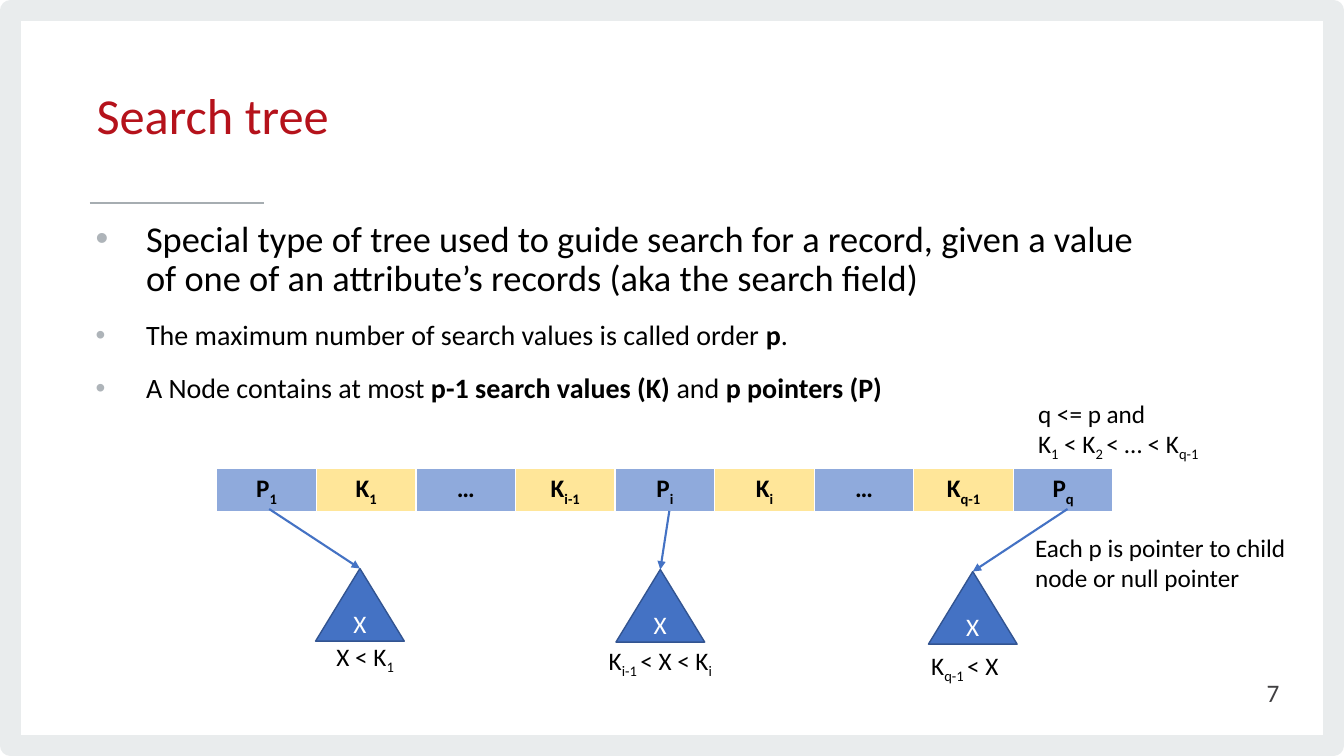
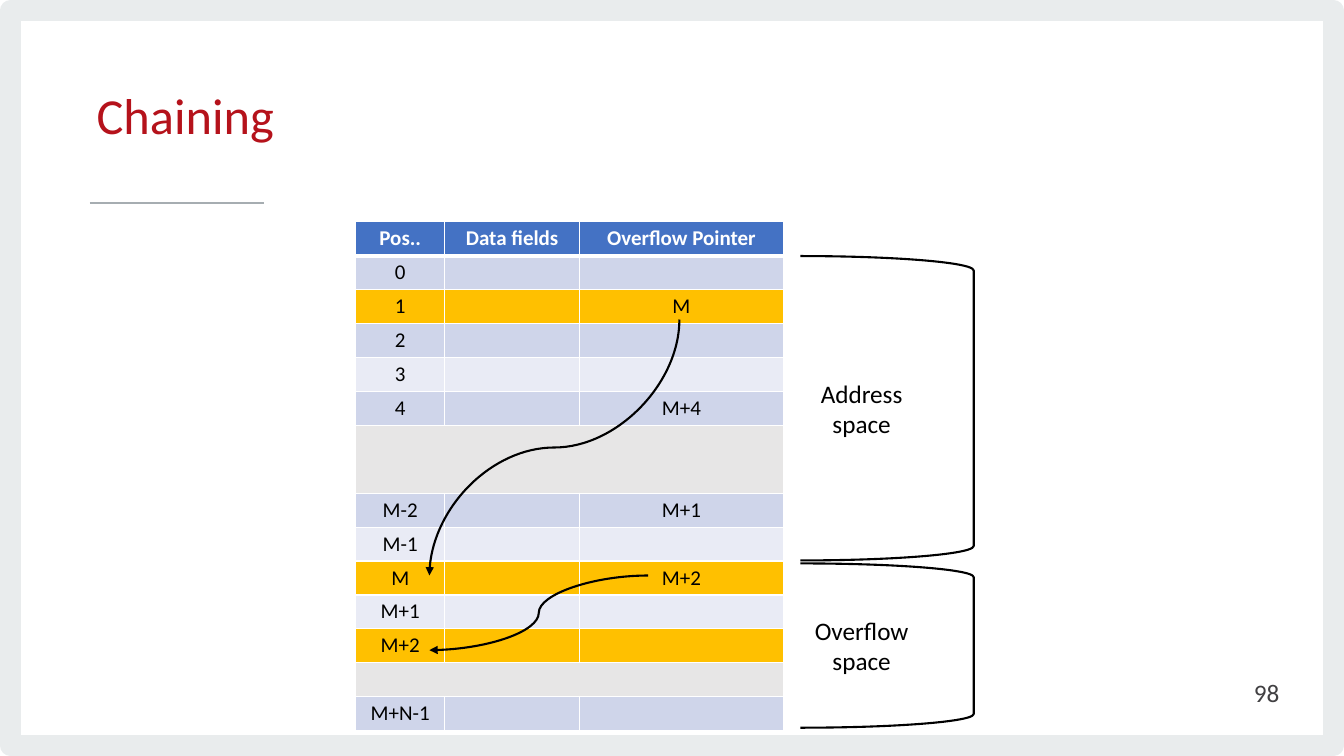
"""Build two lecture slides: a search tree node and overflow chaining."""
from dataclasses import dataclass

from lxml import etree
from pptx import Presentation
from pptx.dml.color import RGBColor
from pptx.enum.shapes import MSO_CONNECTOR, MSO_SHAPE
from pptx.enum.text import MSO_ANCHOR, PP_ALIGN
from pptx.oxml.ns import qn
from pptx.util import Emu, Inches, Pt

STRAIGHT, CURVE = MSO_CONNECTOR.STRAIGHT, MSO_CONNECTOR.CURVE
RECTANGLE, TRIANGLE = MSO_SHAPE.RECTANGLE, MSO_SHAPE.ISOSCELES_TRIANGLE
BRACKET = MSO_SHAPE.RIGHT_BRACKET
LEFT, CENTER, RIGHT = PP_ALIGN.LEFT, PP_ALIGN.CENTER, PP_ALIGN.RIGHT
TOP, MIDDLE = MSO_ANCHOR.TOP, MSO_ANCHOR.MIDDLE

WIDTH, HEIGHT = Inches(13.333), Inches(7.5)
FONT = "Calibri"
BLACK, WHITE, RED, INK = "000000", "FFFFFF", "B5121B", "414042"
FRAME, RULE, BULLET = "E9ECED", "A6ADB1", "AEB4B9"
BLUE, NAVY = "4472C4", "325491"
POINTER_FILL, KEY_FILL = "8FAADC", "FFE699"
DARK_BAND, LIGHT_BAND, MARKED, GAP = "CFD5EA", "E9EBF5", "FFC000", "E7E6E6"


@dataclass(frozen=True)
class Place:
    """A rectangle in percent of the slide's width and height."""
    left: float
    top: float
    width: float
    height: float

    def emu(self) -> tuple[Emu, Emu, Emu, Emu]:
        """Return the rectangle in slide units."""
        return (*point(self.left, self.top), *point(self.width, self.height))


@dataclass(frozen=True)
class Look:
    """How a text is set; text between bars is subscript or bold."""
    size: float = 18
    color: str = BLACK
    bold: bool = False
    align: PP_ALIGN = LEFT
    bars_bold: bool = False


@dataclass(frozen=True)
class Subtree:
    """A child triangle, its caption and the start of its pointer."""
    triangle: Place
    start: tuple[float, float]
    caption: str
    caption_place: Place


@dataclass(frozen=True)
class Record:
    """A row of the chaining table; a gap row is merged across."""
    position: str
    pointer: str
    fill: str
    units: int = 1


@dataclass(frozen=True)
class Space:
    """A named bracket beside the chaining table."""
    label: str
    place: Place


TITLE_PLACE = Place(6.45, 6.93, 65.93, 17.87)
NUMBER_PLACE = Place(73.43, 88.93, 22.5, 5.33)
BODY = (
    ("Special type of tree used to guide search for a record, given a value "
     "of one of an attribute’s records (aka the search field)", 26),
    ("The maximum number of search values is called order |p|.", 20),
    ("A Node contains at most |p-1 search values (K)| and |p pointers (P)|", 20),
)
NODE = ("P|1", "K|1", "…", "K|i-1", "P|i", "K|i", "…", "K|q-1", "P|q")
NODE_PLACE = Place(16.13, 62, 66.68, 5.47)
NOTES = (
    ("q <= p and\nK|1| < K|2 |< … < K|q-1", Place(76.5, 52, 21.08, 9.47)),
    ("Each p is pointer to child node or null pointer",
     Place(76.28, 69.73, 21.08, 9.47)),
)
SUBTREES = (
    Subtree(Place(23.48, 75.2, 6.6, 9.6), (20.03, 67.33),
            "X < K|1", Place(24.3, 84.13, 8.03, 5.33)),
    Subtree(Place(45.83, 75.33, 6.6, 9.6), (49.8, 67.6),
            "K|i-1 |< X < K|i", Place(44.55, 84.67, 9.83, 5.33)),
    Subtree(Place(69.08, 75.6, 6.6, 9.6), (79.43, 67.33),
            "K|q-1 |< X", Place(68.55, 85.33, 9.83, 5.33)),
)
HEADINGS = ("Pos..", "Data fields", "Overflow Pointer")
RECORD_COLUMNS = (6.6, 10.05, 15.15)
RECORD_UNIT = 4.49
RECORDS = (
    Record("0", "", DARK_BAND),
    Record("1", "M", MARKED),
    Record("2", "", DARK_BAND),
    Record("3", "", LIGHT_BAND),
    Record("4", "M+4", DARK_BAND),
    Record("", "", GAP, 2),
    Record("M-2", "M+1", DARK_BAND),
    Record("M-1", "", LIGHT_BAND),
    Record("M", "M+2", MARKED),
    Record("M+1", "", LIGHT_BAND),
    Record("M+2", "", MARKED),
    Record("", "", GAP),
    Record("M+N-1", "", DARK_BAND),
)
SPACES = (
    Space("Address space", Place(59.55, 33.87, 12.9, 40.27)),
    Space("Overflow space", Place(59.55, 74.53, 12.9, 21.73)),
)


def point(across: float, down: float) -> tuple[Emu, Emu]:
    """Turn percentages of the slide into slide units."""
    return Emu(round(WIDTH * across / 100)), Emu(round(HEIGHT * down / 100))


def rgb(color: str) -> RGBColor:
    """Turn a hex string into a colour."""
    return RGBColor.from_string(color)


def write_paragraph(para, marked: str, look: Look) -> None:
    """Write one paragraph whose barred parts are subscript or bold."""
    para.alignment = look.align
    for index, part in enumerate(marked.split("|")):
        if not part:
            continue
        span = para.add_run()
        span.text = part
        font = span.font
        font.name, font.size = FONT, Pt(look.size)
        font.color.rgb = rgb(look.color)
        barred = index % 2 == 1
        font.bold = look.bold or (barred and look.bars_bold)
        if barred and not look.bars_bold:
            span._r.get_or_add_rPr().set("baseline", "-25000")
    etree.SubElement(para._p, qn("a:endParaRPr"), sz=str(round(look.size * 100)))


def write(frame, marked: str, look: Look, anchor: MSO_ANCHOR = TOP) -> None:
    """Write a text, one paragraph for each line."""
    frame.word_wrap = True
    frame.vertical_anchor = anchor
    for index, line in enumerate(marked.split("\n")):
        para = frame.add_paragraph() if index else frame.paragraphs[0]
        write_paragraph(para, line, look)


def add_text(page, place: Place, marked: str, look: Look = Look(),
             anchor: MSO_ANCHOR = TOP):
    """Add a text box."""
    box = page.shapes.add_textbox(*place.emu())
    write(box.text_frame, marked, look, anchor)
    return box


def add_shape(page, kind: MSO_SHAPE, place: Place, line: str, weight: float,
              fill: str = ""):
    """Add a preset shape, hollow when no fill is given."""
    shape = page.shapes.add_shape(kind, *place.emu())
    shape.shadow.inherit = False
    if fill:
        shape.fill.solid()
        shape.fill.fore_color.rgb = rgb(fill)
    else:
        shape.fill.background()
    shape.line.color.rgb = rgb(line)
    shape.line.width = Pt(weight)
    return shape


def add_line(page, start: tuple[float, float], end: tuple[float, float],
             color: str, weight: float = 1.5, kind: MSO_CONNECTOR = STRAIGHT,
             arrow: bool = True, upright: bool = False):
    """Add a connector; an upright curve leaves its start vertically."""
    (x1, y1), (x2, y2) = point(*start), point(*end)
    if upright:
        mid_x, mid_y = (x1 + x2) // 2, (y1 + y2) // 2
        half_x, half_y = x1 - mid_x, y1 - mid_y
        x1, y1 = mid_x + half_y, mid_y - half_x
        x2, y2 = mid_x - half_y, mid_y + half_x
    line = page.shapes.add_connector(kind, Emu(x1), Emu(y1), Emu(x2), Emu(y2))
    line.line.color.rgb = rgb(color)
    line.line.width = Pt(weight)
    properties = line._element.spPr
    if upright:
        properties.find(qn("a:xfrm")).set("rot", str(90 * 60000))
    if arrow:
        etree.SubElement(properties.find(qn("a:ln")), qn("a:tailEnd"), type="triangle")
    etree.SubElement(properties, qn("a:effectLst"))
    return line


def style_cell(cell, marked: str, look: Look, fill: str, top: float = 1,
               bottom: float = 1, inset: float = 0.05) -> None:
    """Give a cell its text, white borders and fill."""
    properties = cell._tc.get_or_add_tcPr()
    for side, weight in (("L", 1), ("R", 1), ("T", top), ("B", bottom)):
        border = etree.SubElement(properties, qn(f"a:ln{side}"), w=str(Pt(weight)))
        solid = etree.SubElement(border, qn("a:solidFill"))
        etree.SubElement(solid, qn("a:srgbClr"), val=WHITE)
    cell.fill.solid()
    cell.fill.fore_color.rgb = rgb(fill)
    cell.margin_top = cell.margin_bottom = Inches(inset)
    write_paragraph(cell.text_frame.paragraphs[0], marked, look)


def add_grid(page, place: Place, rows: int, columns: int):
    """Add a table without banding."""
    table = page.shapes.add_table(rows, columns, *place.emu()).table
    table.first_row = table.horz_banding = False
    return table


def add_page(deck, title: str, number: int):
    """Add a slide with the shared frame, rule, title and number."""
    page = deck.slides.add_slide(deck.slide_layouts[6])
    add_shape(page, RECTANGLE, Place(0.78, 1.4, 98.44, 97.2), FRAME, 15.11)
    add_line(page, (6.68, 26.8), (19.65, 26.8), RULE, 1.33, arrow=False)
    heading = add_text(page, TITLE_PLACE, title, Look(36, RED), MIDDLE)
    heading.text_frame.paragraphs[0].line_spacing = Pt(34.7)
    add_text(page, NUMBER_PLACE, str(number), Look(18, INK, align=RIGHT), MIDDLE)
    return page


def add_body(page) -> None:
    """Add the bulleted statements."""
    frame = page.shapes.add_textbox(*Place(6.38, 28.53, 79.88, 61.6).emu()).text_frame
    frame.word_wrap = True
    for index, (statement, size) in enumerate(BODY):
        para = frame.add_paragraph() if index else frame.paragraphs[0]
        properties = para._p.get_or_add_pPr()
        properties.set("marL", str(Inches(0.5)))
        properties.set("indent", str(-Inches(0.5)))
        color = etree.SubElement(properties, qn("a:buClr"))
        etree.SubElement(color, qn("a:srgbClr"), val=BULLET)
        etree.SubElement(properties, qn("a:buFont"), typeface="Arial")
        etree.SubElement(properties, qn("a:buChar"), char="•")
        para.line_spacing = 0.9
        para.space_before = Pt(10 if index else 0)
        para.space_after = Pt(6)
        write_paragraph(para, statement, Look(size, bars_bold=True))


def build_search_tree(deck) -> None:
    """Build the slide on the search tree node."""
    page = add_page(deck, "Search tree", 7)
    add_body(page)
    table = add_grid(page, NODE_PLACE, 1, len(NODE))
    for index, label in enumerate(NODE):
        fill = KEY_FILL if label.startswith("K") else POINTER_FILL
        style_cell(table.cell(0, index), label, Look(bold=True, align=CENTER), fill, bottom=3)
    for note, place in NOTES:
        add_text(page, place, note)
    for subtree in SUBTREES:
        place = subtree.triangle
        triangle = add_shape(page, TRIANGLE, place, NAVY, 1, BLUE)
        write(triangle.text_frame, "X", Look(color=WHITE, align=CENTER), MIDDLE)
        apex = (place.left + place.width / 2, place.top)
        add_line(page, subtree.start, apex, BLUE).end_connect(triangle, 0)
        add_text(page, subtree.caption_place, subtree.caption)


def build_chaining(deck) -> None:
    """Build the slide on overflow chaining."""
    page = add_page(deck, "Chaining", 98)
    units = 1 + sum(record.units for record in RECORDS)
    place = Place(26.48, 29.33, sum(RECORD_COLUMNS), RECORD_UNIT * units)
    table = add_grid(page, place, len(RECORDS) + 1, len(HEADINGS))
    for column, share in zip(table.columns, RECORD_COLUMNS):
        column.width = point(share, 0)[0]
    table.rows[0].height = point(0, RECORD_UNIT)[1]
    for index, heading in enumerate(HEADINGS):
        style_cell(table.cell(0, index), heading, Look(15, WHITE, True, CENTER), BLUE,
                   bottom=3, inset=0.04)
    for row, record in enumerate(RECORDS, 1):
        table.rows[row].height = point(0, RECORD_UNIT * record.units)[1]
        for index, value in enumerate((record.position, "", record.pointer)):
            style_cell(table.cell(row, index), value, Look(15, align=CENTER), record.fill,
                       top=3 if row == 1 else 1, inset=0.04)
        if record.fill == GAP:
            table.cell(row, 0).merge(table.cell(row, len(HEADINGS) - 1))
    add_line(page, (50.55, 42.27), (31.95, 76.13), BLACK, kind=CURVE, upright=True)
    add_line(page, (48.23, 76.13), (31.95, 86), BLACK, kind=CURVE)
    for space in SPACES:
        bracket = add_shape(page, BRACKET, space.place, BLACK, 1.5)
        write(bracket.text_frame, space.label, Look(align=CENTER), MIDDLE)


def main() -> None:
    """Build and save the deck."""
    deck = Presentation()
    deck.slide_width, deck.slide_height = WIDTH, HEIGHT
    build_search_tree(deck)
    build_chaining(deck)
    deck.save("out.pptx")


if __name__ == "__main__":
    main()
